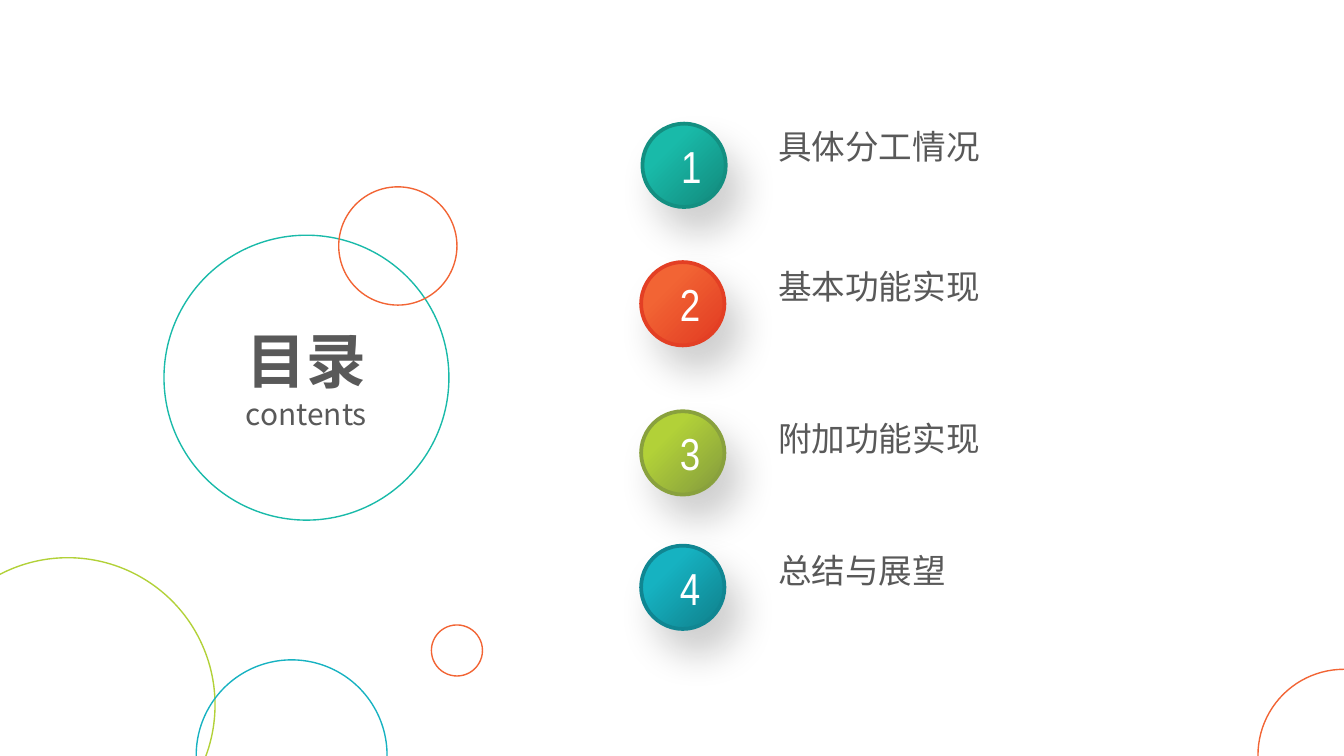
from lxml import etree
from pptx import Presentation
from pptx.dml.color import RGBColor
from pptx.enum.shapes import MSO_SHAPE
from pptx.enum.text import MSO_AUTO_SIZE, PP_ALIGN
from pptx.oxml import parse_xml
from pptx.oxml.ns import nsdecls, qn
from pptx.util import Inches, Pt

COLORS = {
    "teal": "19BAA9", "dark_teal": "138F81",
    "orange": "F26434", "dark_orange": "E33F24",
    "green": "B2D138", "dark_green": "89A13D",
    "blue": "16B2C1", "dark_blue": "108692",
    "text": "595959", "white": "FFFFFF", "shadow": "0D0D0D",
}
CJK_FONT = "Noto Sans CJK SC"

presentation = Presentation()
presentation.slide_width = Inches(10)
presentation.slide_height = Inches(5.625)
slide = presentation.slides.add_slide(presentation.slide_layouts[6])


def add_circle(left, top, diameter, line_color, line_width):
    circle = slide.shapes.add_shape(
        MSO_SHAPE.OVAL, Inches(left), Inches(top), Inches(diameter), Inches(diameter))
    circle.shadow.inherit = False
    circle.fill.background()
    circle.line.color.rgb = RGBColor.from_string(COLORS[line_color])
    circle.line.width = Pt(line_width)
    return circle


def add_text(left, top, width, height, lines, font_name, color, align):
    box = slide.shapes.add_textbox(Inches(left), Inches(top), Inches(width), Inches(height))
    frame = box.text_frame
    frame.word_wrap = True
    frame.auto_size = MSO_AUTO_SIZE.SHAPE_TO_FIT_TEXT
    frame.text = "\n".join(text for text, size, bold in lines)
    for paragraph, (text, size, bold) in zip(frame.paragraphs, lines):
        paragraph.alignment = align
        font = paragraph.font
        font.name = font_name
        font.size = Pt(size)
        font.bold = bold
        font.color.rgb = RGBColor.from_string(COLORS[color])
        etree.SubElement(font._element, qn("a:ea")).set("typeface", font_name)
    return frame


rings = [
    (1.22, 1.75, 2.12, "teal"),
    (-0.59, 4.15, 2.19, "green"),
    (2.52, 1.39, 0.88, "orange"),
    (1.46, 4.91, 1.42, "blue"),
    (3.21, 4.65, 0.38, "orange"),
    (9.36, 4.98, 1.28, "orange"),
]
for left, top, diameter, color in rings:
    add_circle(left, top, diameter, color, 0.75)

add_text(1.64, 2.36, 1.28, 0.91, [("目录", 32, True), ("contents", 16, False)],
         CJK_FONT, "text", PP_ALIGN.CENTER)

entries = [
    ("具体分工情况", "teal", 4.78, 0.92, 0.89, 2.13),
    ("基本功能实现", "orange", 4.77, 1.95, 1.93, 2.68),
    ("附加功能实现", "green", 4.77, 3.06, 3.06, 2.68),
    ("总结与展望", "blue", 4.77, 4.06, 4.04, 2.68),
]
for number, (label, color, left, top, label_top, label_width) in enumerate(entries, 1):
    badge = add_circle(left, top, 0.62, f"dark_{color}", 2)
    badge.fill.gradient()
    badge.fill.gradient_angle = 315
    stops = zip(badge.fill.gradient_stops, (0.3, 0.9), (color, f"dark_{color}"))
    for stop, position, stop_color in stops:
        stop.position = position
        stop.color.rgb = RGBColor.from_string(COLORS[stop_color])
    effects = badge._element.spPr.find(qn("a:effectLst"))
    effects.append(parse_xml(
        f'<a:outerShdw {nsdecls("a")} blurRad="{Pt(20)}" dist="{Pt(15)}" '
        f'dir="{59 * 60000}" algn="ctr" rotWithShape="0">'
        f'<a:srgbClr val="{COLORS["shadow"]}"><a:alpha val="20000"/></a:srgbClr>'
        '</a:outerShdw>'))
    add_text(left + 0.19, top + 0.06, 0.24, 0.5, [(str(number), 24, False)],
             "Arial Narrow", "white", PP_ALIGN.CENTER)
    label_frame = add_text(5.79, label_top, label_width, 0.4, [(label, 18, False)],
                           CJK_FONT, "text", PP_ALIGN.LEFT)
    label_frame.margin_left = 0

presentation.save("out.pptx")
